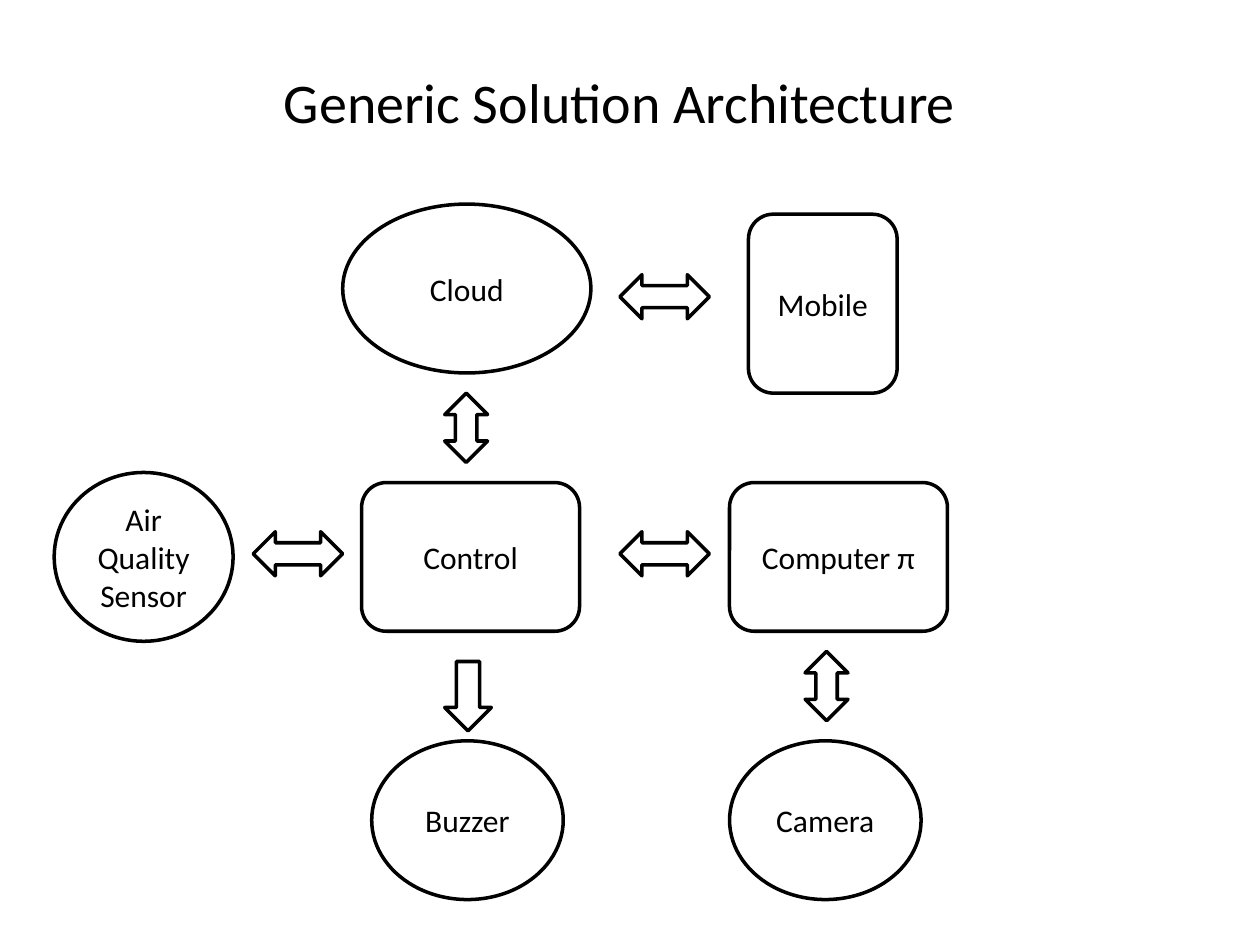
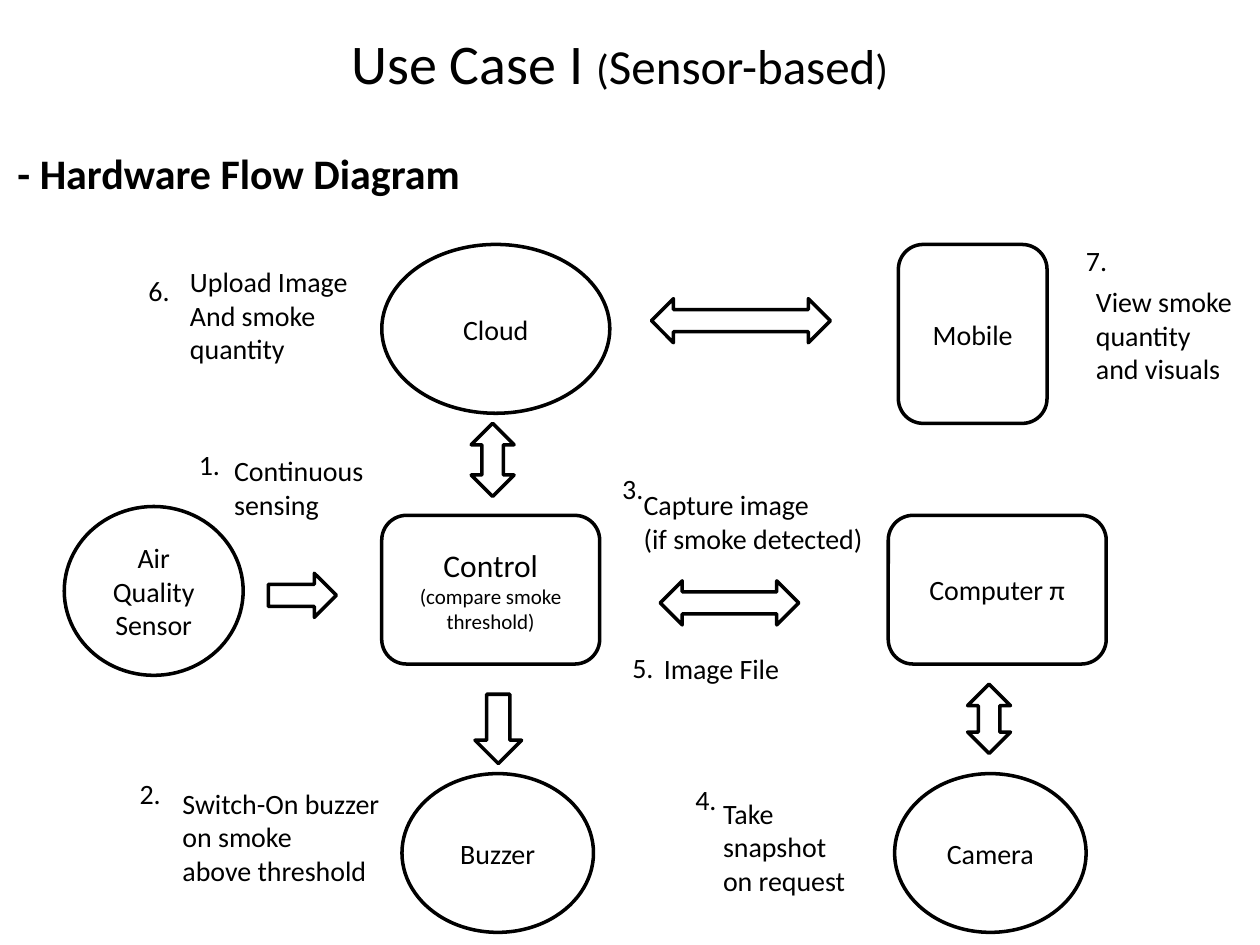
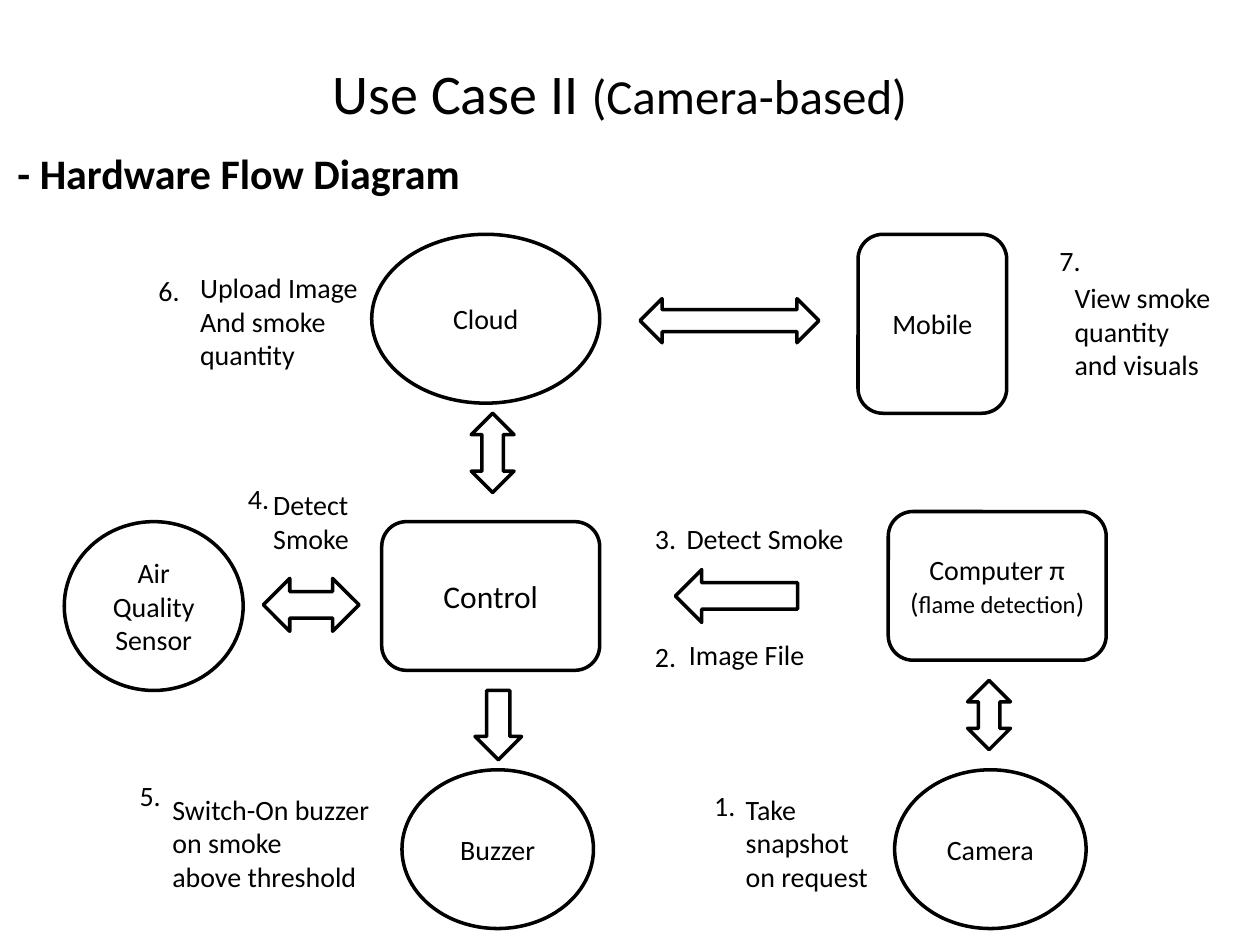
from pptx import Presentation
from pptx.dml.color import RGBColor
from pptx.enum import shapes, text
from pptx.util import Inches, Pt

FONT, INK, PAPER = "Calibri", "000000", "FFFFFF"
LINE_WIDTH = 2
KIND = shapes.MSO_SHAPE

# Device: outline, width, height, text
DEVICES = {
    "sensor": (KIND.OVAL, 1.42, 1.34, "Air Quality Sensor"),
    "buzzer": (KIND.OVAL, 1.52, 1.26, "Buzzer"),
    "controller": (KIND.ROUNDED_RECTANGLE, 1.73, 1.18, "Control"),
    "computer": (KIND.ROUNDED_RECTANGLE, 1.73, 1.18, "Computer π"),
    "camera": (KIND.OVAL, 1.52, 1.26, "Camera"),
    "cloud": (KIND.OVAL, 1.81, 1.34, "Cloud"),
    "mobile": (KIND.ROUNDED_RECTANGLE, 1.18, 1.42, "Mobile"),
}
ARROWS = {
    "both": KIND.LEFT_RIGHT_ARROW,
    "updown": KIND.UP_DOWN_ARROW,
    "down": KIND.DOWN_ARROW,
    "left": KIND.LEFT_ARROW,
    "right": KIND.RIGHT_ARROW,
}
# Step: box width, lines
STEPS = {
    "sense": (1.29, ["Continuous", "sensing"]),
    "capture": (1.96, ["Capture image", "(if smoke detected)"]),
    "file": (1.13, ["Image File"]),
    "alarm": (1.84, ["Switch-On buzzer", "on smoke", "above threshold"]),
    "snapshot": (1.39, ["Take", "snapshot", "on request"]),
    "upload": (1.47, ["Upload Image", "And smoke", "quantity"]),
    "view": (1.3, ["View smoke", "quantity", "and visuals"]),
    "confirm": (0.88, ["Detect", "Smoke"]),
    "report": (1.52, ["Detect Smoke"]),
}
HEADING = "- Hardware Flow Diagram"

# devices: left, top; arrows: kind, left, top, width, height;
# steps: in order, name, left and top of the number, left and top of the text
SLIDES = [
    {
        "title": [("Generic Solution Architecture", 32)],
        "title_height": 1.61,
        "size": 18,
        "devices": {
            "sensor": (0.43, 3.75), "buzzer": (2.95, 5.88),
            "controller": (2.87, 3.83), "computer": (5.79, 3.83),
            "camera": (5.79, 5.88), "cloud": (2.72, 1.62),
            "mobile": (5.94, 1.7),
        },
        "widths": {"cloud": 1.97},
        "arrows": [
            ("both", 4.92, 4.22, 0.71, 0.35), ("both", 4.92, 2.18, 0.71, 0.35),
            ("updown", 3.53, 3.12, 0.34, 0.55), ("updown", 6.39, 5.17, 0.34, 0.55),
            ("both", 2.01, 4.22, 0.71, 0.35), ("down", 3.53, 5.25, 0.37, 0.55),
        ],
    },
    {
        "title": [("Use Case I ", 32), ("(", 24), ("Sensor-based", 28), (")", 24)],
        "title_height": 0.99,
        "size": 16,
        "devices": {
            "sensor": (0.51, 4.02), "buzzer": (3.19, 6.14),
            "controller": (3.03, 4.09), "computer": (7.05, 4.09),
            "camera": (7.1, 6.14), "cloud": (3.03, 1.94),
            "mobile": (7.13, 1.94),
        },
        "details": {"controller": [("(compare smoke threshold)", 12)]},
        "arrows": [
            ("both", 5.24, 4.61, 1.1, 0.35), ("both", 5.17, 2.37, 1.42, 0.35),
            ("updown", 3.74, 3.36, 0.34, 0.58), ("updown", 7.68, 5.43, 0.34, 0.55),
            ("down", 3.77, 5.51, 0.37, 0.55), ("right", 2.13, 4.55, 0.54, 0.35),
        ],
        "steps": [
            ("sense", 1.48, 3.5, 1.76, 3.55), ("alarm", 1.01, 6.11, 1.35, 6.19),
            ("capture", 4.84, 3.69, 5.01, 3.82), ("snapshot", 5.42, 6.16, 5.64, 6.27),
            ("file", 4.92, 5.11, 5.17, 5.12), ("upload", 1.08, 2.12, 1.41, 2.05),
            ("view", 8.52, 1.88, 8.6, 2.21),
        ],
    },
    {
        "title": [("Use Case II ", 32), ("(Camera-based)", 28)],
        "title_height": 1.47,
        "size": 16,
        "devices": {
            "sensor": (0.51, 4.14), "buzzer": (3.19, 6.11),
            "controller": (3.03, 4.14), "computer": (7.05, 4.06),
            "camera": (7.1, 6.11), "cloud": (2.95, 1.86),
            "mobile": (6.81, 1.86),
        },
        "details": {"computer": [("(", 16), ("flame detection", 14), (")", 16)]},
        "arrows": [
            ("both", 5.08, 2.37, 1.42, 0.35), ("updown", 3.74, 3.28, 0.34, 0.63),
            ("updown", 7.68, 5.4, 0.34, 0.55), ("down", 3.77, 5.48, 0.37, 0.55),
            ("left", 5.36, 4.52, 0.97, 0.42), ("both", 2.09, 4.59, 0.76, 0.42),
        ],
        "steps": [
            ("snapshot", 5.57, 6.21, 5.82, 6.24), ("file", 5.1, 5.03, 5.37, 5.01),
            ("report", 5.1, 4.09, 5.35, 4.09), ("confirm", 1.87, 3.77, 2.07, 3.82),
            ("alarm", 1.01, 6.13, 1.27, 6.24), ("upload", 1.16, 2.12, 1.49, 2.1),
            ("view", 8.31, 1.88, 8.43, 2.18),
        ],
    },
]


def rgb(value):
    return RGBColor.from_string(value)


def write(tf, paragraphs, align, bold=False):
    """Fill a text frame; each paragraph is a list of (text, size) runs."""
    for i, runs in enumerate(paragraphs):
        p = tf.paragraphs[0] if i == 0 else tf.add_paragraph()
        p.alignment = align
        p.font.name, p.font.bold = FONT, bold
        p.font.size = Pt(runs[0][1])
        p.font.color.rgb = rgb(INK)
        for words, size in runs:
            r = p.add_run()
            r.text = words
            if size != runs[0][1]:
                r.font.size = Pt(size)


def add_title(s, runs, height):
    sp = s.shapes.title
    sp.left, sp.top, sp.width, sp.height = map(Inches, (0.67, 0, 8.5, height))
    sp.text_frame.vertical_anchor = text.MSO_ANCHOR.MIDDLE
    write(sp.text_frame, [runs], text.PP_ALIGN.CENTER)


def add_outline(s, kind, *box):
    sp = s.shapes.add_shape(kind, *map(Inches, box))
    sp.shadow.inherit = False
    sp.fill.solid()
    sp.fill.fore_color.rgb = rgb(PAPER)
    sp.line.color.rgb = rgb(INK)
    sp.line.width = Pt(LINE_WIDTH)
    return sp


def add_device(s, name, left, top, width, size, detail):
    kind, usual_width, height, label = DEVICES[name]
    sp = add_outline(s, kind, left, top, width or usual_width, height)
    tf = sp.text_frame
    tf.vertical_anchor = text.MSO_ANCHOR.MIDDLE
    label_size = 18 if name == "controller" else size
    paragraphs = [[(label, label_size)]] + ([detail] if detail else [])
    write(tf, paragraphs, text.PP_ALIGN.CENTER)


def add_label(s, lines, left, top, width, size=16, bold=False):
    height = 0.1 + len(lines) * size / 60
    tf = s.shapes.add_textbox(*map(Inches, (left, top, width, height))).text_frame
    tf.word_wrap = False
    tf.auto_size = text.MSO_AUTO_SIZE.SHAPE_TO_FIT_TEXT
    write(tf, [[(line, size)] for line in lines], text.PP_ALIGN.LEFT, bold)


def add_steps(s, steps):
    for number, (name, num_left, num_top, left, top) in enumerate(steps, 1):
        width, lines = STEPS[name]
        add_label(s, [f"{number}."], num_left, num_top, 0.37)
        add_label(s, lines, left, top, width)


def add_diagram(prs, content):
    s = prs.slides.add_slide(prs.slide_layouts[0])
    subtitle = s.placeholders[1].element
    subtitle.getparent().remove(subtitle)
    add_title(s, content["title"], content["title_height"])
    widths, details = content.get("widths", {}), content.get("details", {})
    for name, (left, top) in content["devices"].items():
        add_device(s, name, left, top, widths.get(name), content["size"],
                   details.get(name))
    for kind, *box in content["arrows"]:
        add_outline(s, ARROWS[kind], *box)
    if "steps" in content:
        add_steps(s, content["steps"])
        add_label(s, [HEADING], 0.04, 1.12, 3.74, 24, bold=True)


def main():
    prs = Presentation()
    prs.slide_width, prs.slide_height = Inches(10), Inches(7.5)
    for content in SLIDES:
        add_diagram(prs, content)
    prs.save("out.pptx")


if __name__ == "__main__":
    main()
